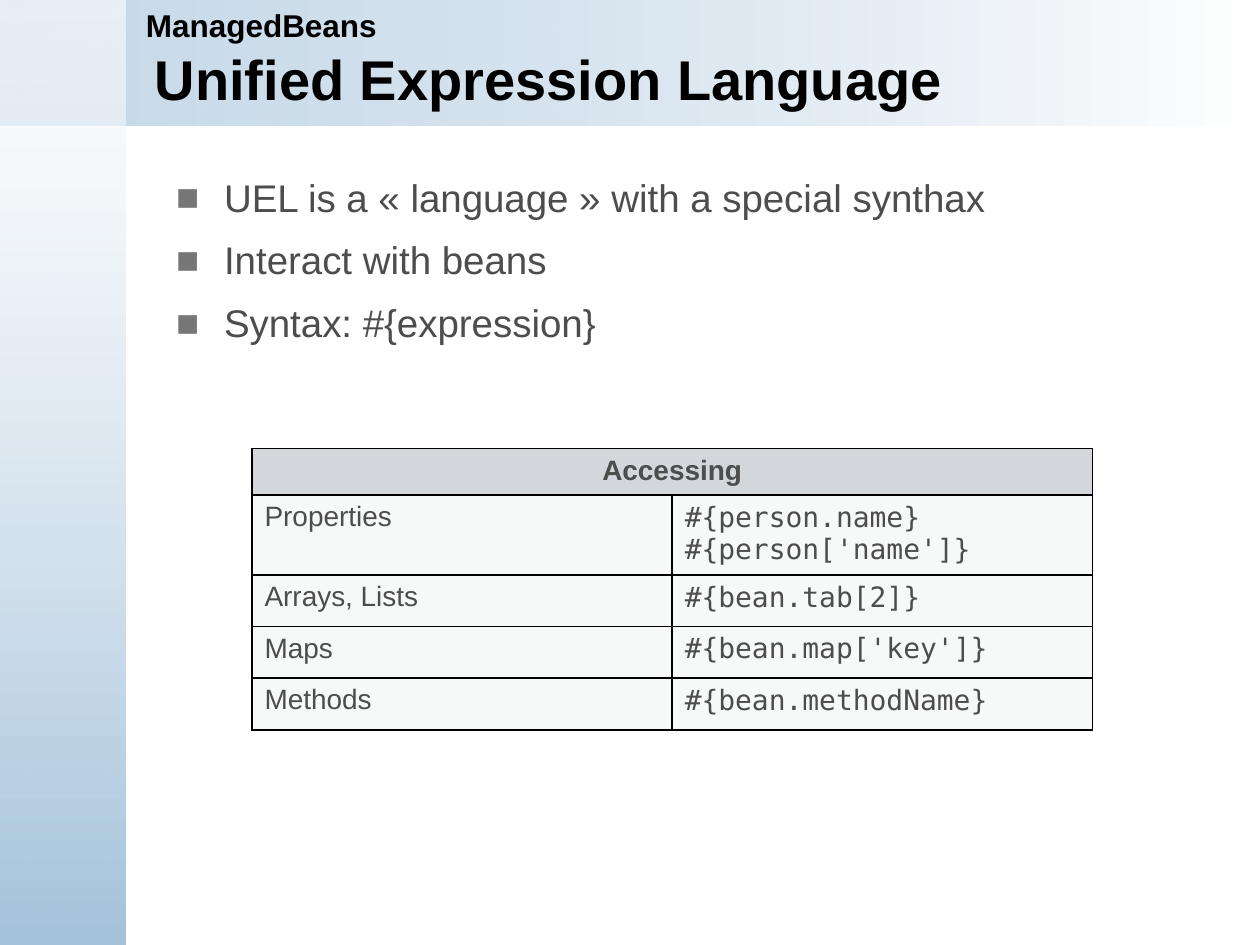
from lxml import etree
from pptx import Presentation
from pptx import util as u
from pptx.dml.color import RGBColor
from pptx.enum import shapes, text
from pptx.oxml import ns

COLORS = {
    "blue": "A5C3DB", "white": "FFFFFF", "title": "000000", "body": "4D4D4D",
    "bullet": "777777", "header": "D3D7DB", "cell": "F7F8F8", "border": "000000",
}
SANS, MONO = "Arial", "DejaVu Sans Mono"
GRID = u.Inches(1)  # the slide is 10 columns by 7.5 rows
COLS, ROWS = 10, 7.5

BULLETS = [
    "UEL is a « language » with a special synthax",
    "Interact with beans",
    "Syntax: #{expression}",
]
ACCESS_ROWS = [
    ("Properties", "#{person.name}\n#{person['name']}"),
    ("Arrays, Lists", "#{bean.tab[2]}"),
    ("Maps", "#{bean.map['key']}"),
    ("Methods", "#{bean.methodName}"),
]
ROW_HEIGHTS = [0.37, 0.63, 0.41, 0.41, 0.41]


def rgb(name):
    return RGBColor.from_string(COLORS[name])


def emu(box):
    return [int(length * GRID) for length in box]


def sub(parent, tag, **attrs):
    return etree.SubElement(parent, ns.qn(tag), attrs)


def style(frame, size, color, font=SANS, bold=False):
    for paragraph in frame.paragraphs:
        for run in paragraph.runs:
            run.font.name, run.font.size = font, u.Pt(size)
            run.font.bold = bold
            run.font.color.rgb = rgb(color)


def gradient_band(slide, box, start, end, opacity, angle):
    band = slide.shapes.add_shape(shapes.MSO_SHAPE.RECTANGLE, *emu(box))
    band.shadow.inherit = False
    band.line.fill.background()
    band.fill.gradient()
    band.fill.gradient_angle = angle
    for stop, color, position in zip(band.fill.gradient_stops, (start, end), (0, 1)):
        stop.color.rgb = rgb(color)
        stop.position = position
    # Only the first stop is see-through
    first = next(band.fill._xPr.iter(ns.qn("a:srgbClr")))
    sub(first, "a:alpha", val=str(opacity * 1000))


def heading(slide, box, words, size, anchor=text.MSO_ANCHOR.TOP):
    frame = slide.shapes.add_textbox(*emu(box)).text_frame
    frame.word_wrap = True
    frame.vertical_anchor = anchor
    frame.text = words
    style(frame, size, "title", bold=True)


def bullet_list(slide, box, items):
    frame = slide.shapes.add_textbox(*emu(box)).text_frame
    frame.word_wrap = True
    frame.text = "\n".join(items)
    indent = int(0.38 * GRID)
    for index, paragraph in enumerate(frame.paragraphs):
        paragraph.line_spacing = 0.9
        paragraph.space_before = u.Pt(5 if index else 0)
        paragraph.space_after = u.Pt(7.2)
        props = paragraph._p.get_or_add_pPr()
        props.set("marL", str(indent))
        props.set("indent", str(-indent))
        sub(sub(props, "a:buClr"), "a:srgbClr", val=COLORS["bullet"])
        sub(props, "a:buFont", typeface=SANS)
        sub(props, "a:buChar", char="■")
    style(frame, 22, "body")


def finish_cell(cell, fill):
    props = cell._tc.get_or_add_tcPr()
    for side in ("a:lnL", "a:lnR", "a:lnT", "a:lnB"):
        line = sub(props, side, w=str(u.Pt(1)))
        sub(sub(line, "a:solidFill"), "a:srgbClr", val=COLORS["border"])
    cell.fill.solid()
    cell.fill.fore_color.rgb = rgb(fill)


def access_table(slide, box):
    table = slide.shapes.add_table(len(ROW_HEIGHTS), 2, *emu(box)).table
    for row, height in zip(table.rows, ROW_HEIGHTS):
        row.height = int(height * GRID)

    # Header across both columns
    header = table.cell(0, 0)
    header.merge(table.cell(0, 1))
    header.text_frame.text = "Accessing"
    header.text_frame.paragraphs[0].alignment = text.PP_ALIGN.CENTER
    style(header.text_frame, 16, "body", bold=True)
    for column in range(2):
        finish_cell(table.cell(0, column), "header")

    # What is accessed, and its expression
    for index, entry in enumerate(ACCESS_ROWS, start=1):
        for column, (words, font) in enumerate(zip(entry, (SANS, MONO))):
            cell = table.cell(index, column)
            cell.text_frame.text = words
            style(cell.text_frame, 16, "body", font)
            finish_cell(cell, "cell")


def main():
    deck = Presentation()
    deck.slide_width, deck.slide_height = emu((COLS, ROWS))
    slide = deck.slides.add_slide(deck.slide_layouts[6])

    # Top and left bands
    gradient_band(slide, (0, 0, COLS, 1), "blue", "white", 62, 0)
    gradient_band(slide, (0, 0, 1, ROWS), "white", "blue", 59, 270)

    # Content
    bullet_list(slide, (1.3, 1.37, 8.19, 1.51), BULLETS)
    heading(slide, (1.13, 0.16, 8.45, 0.92), "Unified Expression Language", 32,
            text.MSO_ANCHOR.MIDDLE)
    heading(slide, (1.06, 0, 8.94, 0.4), "ManagedBeans", 18)
    access_table(slide, (2, 3.56, 6.67, sum(ROW_HEIGHTS)))

    deck.save("out.pptx")


if __name__ == "__main__":
    main()
